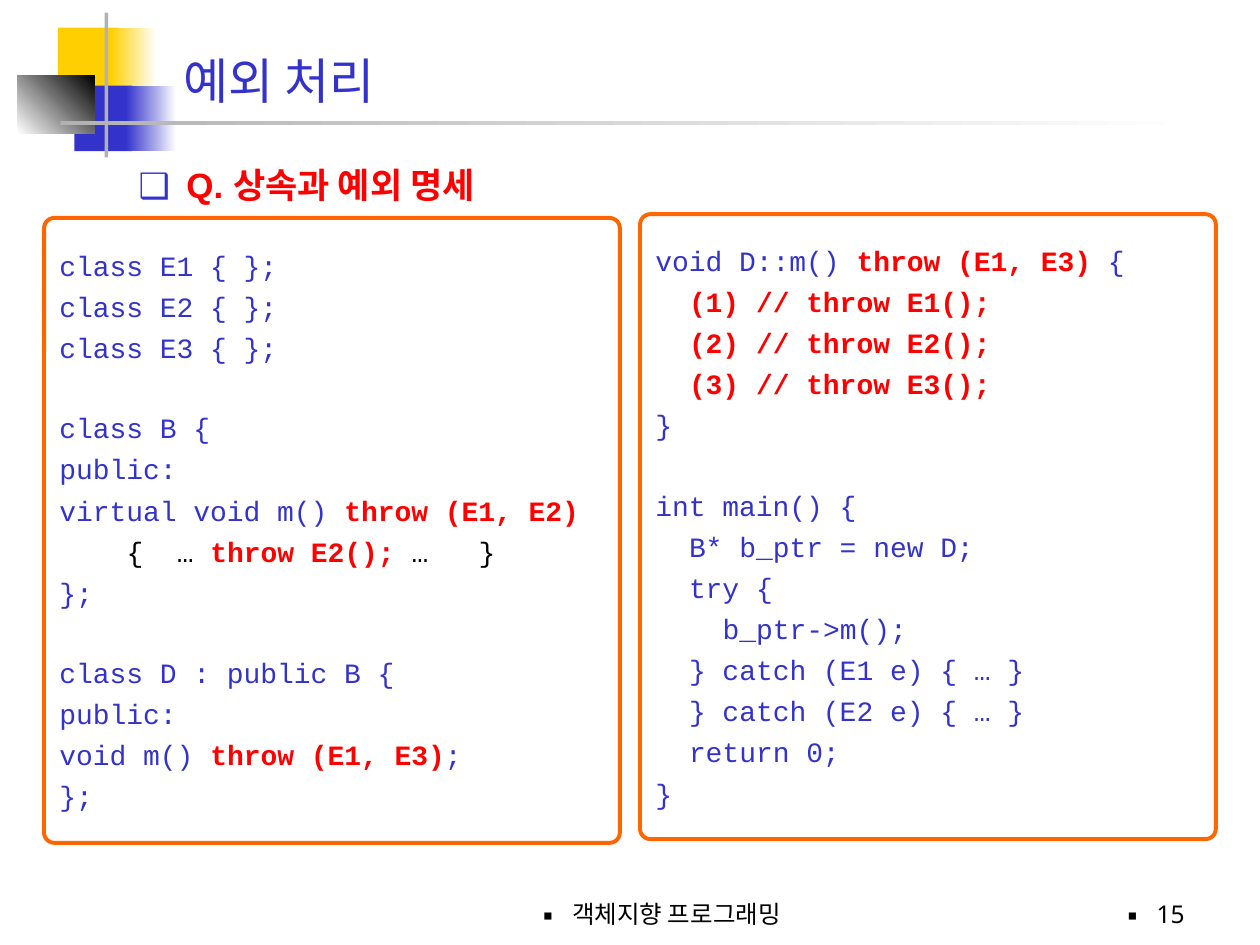
from lxml.etree import SubElement
from pptx import Presentation
from pptx.dml.color import RGBColor
from pptx.enum.shapes import MSO_SHAPE
from pptx.enum.text import MSO_ANCHOR, MSO_AUTO_SIZE, PP_ALIGN
from pptx.oxml.ns import qn
from pptx.util import Inches, Pt

COLORS = {
    "blue": "3333CC", "yellow": "FFCF01", "gray": "B2B2B2", "white": "FFFFFF",
    "black": "000000", "red": "FF0000", "orange": "FF6600",
}
KOREAN_FONT = "Noto Sans CJK KR"
CODE_SIZE = 16
CODE_SPACING = 4.3
CODE_BLANK_LINE = 22.4
CODE_CHARACTER = 0.6 * CODE_SIZE

# left, top, width, height, colour, end colour of the gradient, angle
DECORATIONS = [
    (0.46, 0.22, 0.48, 0.52, "yellow", None, 0),
    (0.88, 0.22, 0.36, 0.52, "yellow", "white", 0),
    (0.59, 0.68, 0.46, 0.52, "blue", None, 0),
    (1, 0.68, 0.4, 0.52, "blue", "white", 0),
    (0.14, 0.6, 0.61, 0.46, "white", "black", 45),
    (0.83, 0.1, 0.03, 1.15, "gray", None, 0),
    (0.48, 0.96, 9, 0.03, "gray", "white", 0),
]

# Each line: indent in characters, then (text, colour) spans; None is a gap.
CLASS_CODE = [
    (0, ("class E1 { };", "blue")),
    (0, ("class E2 { };", "blue")),
    (0, ("class E3 { };", "blue")),
    None,
    (0, ("class B {", "blue")),
    (0, ("public:", "blue")),
    (0, ("virtual void m() ", "blue"), ("throw (E1, E2)", "red")),
    (4, ("{  … ", "black"), ("throw E2();", "red"), (" …   }", "black")),
    (0, ("};", "blue")),
    None,
    (0, ("class D : public B {", "blue")),
    (0, ("public:", "blue")),
    (0, ("void m() ", "blue"), ("throw (E1, E3)", "red"), (";", "blue")),
    (0, ("};", "blue")),
]
MAIN_CODE = [
    (0, ("void D::m() ", "blue"), ("throw (E1, E3)", "red"), (" {", "blue")),
    (2, ("(1) // throw E1();", "red")),
    (2, ("(2) // throw E2();", "red")),
    (2, ("(3) // throw E3();", "red")),
    (0, ("}", "blue")),
    None,
    (0, ("int main() {", "blue")),
    (2, ("B* b_ptr = new D;", "blue")),
    (2, ("try {", "blue")),
    (4, ("b_ptr->m();", "blue")),
    (2, ("} catch (E1 e) { … }", "blue")),
    (2, ("} catch (E2 e) { … }", "blue")),
    (2, ("return 0;", "blue")),
    (0, ("}", "blue")),
]


def color(name):
    return RGBColor.from_string(COLORS[name])


def place(shape, left, top, width, height):
    shape.left, shape.top = Inches(left), Inches(top)
    shape.width, shape.height = Inches(width), Inches(height)


def add_span(para, text, font, size, color_name, bold=False):
    span = para.add_run()
    span.text = text
    span.font.name = font
    span.font.size = Pt(size)
    span.font.bold = bold
    span.font.color.rgb = color(color_name)
    east_asian = SubElement(span.font._element, qn("a:ea"))
    east_asian.set("typeface", KOREAN_FONT)


def set_indent(para, margin, first_line=0):
    properties = para._p.get_or_add_pPr()
    properties.set("marL", str(int(margin)))
    properties.set("indent", str(int(first_line)))
    return properties


def set_bullet(para, character, color_name, hanging):
    properties = set_indent(para, Inches(hanging), -Inches(hanging))
    bullet_color = SubElement(properties, qn("a:buClr"))
    SubElement(bullet_color, qn("a:srgbClr")).set("val", COLORS[color_name])
    SubElement(properties, qn("a:buFont")).set("typeface", "Noto Sans")
    SubElement(properties, qn("a:buChar")).set("char", character)


def add_decoration(page, left, top, width, height, start, end, angle):
    box = page.shapes.add_shape(
        MSO_SHAPE.RECTANGLE, Inches(left), Inches(top), Inches(width), Inches(height))
    box.shadow.inherit = False
    box.line.fill.background()
    if end is None:
        box.fill.solid()
        box.fill.fore_color.rgb = color(start)
        return
    box.fill.gradient()
    box.fill.gradient_angle = angle
    for stop, name in zip(box.fill.gradient_stops, (start, end)):
        stop.color.rgb = color(name)


def fill_title(page, text):
    title = page.shapes.title
    place(title, 1.36, 0.18, 8.52, 0.74)
    frame = title.text_frame
    frame.auto_size = MSO_AUTO_SIZE.NONE
    frame.vertical_anchor = MSO_ANCHOR.BOTTOM
    para = frame.paragraphs[0]
    para.alignment = PP_ALIGN.LEFT
    add_span(para, text, KOREAN_FONT, 28, "blue")


def fill_body(page, text):
    body = page.placeholders[1]
    place(body, 1, 1.25, 8.79, 5.46)
    body.text_frame.auto_size = MSO_AUTO_SIZE.NONE
    para = body.text_frame.paragraphs[0]
    para.space_before = Pt(4)
    set_bullet(para, "❑", "blue", 0.38)
    add_span(para, text, "Arial", 20, "red", bold=True)


def add_code_panel(page, left, top, lines):
    panel = page.shapes.add_shape(
        MSO_SHAPE.ROUNDED_RECTANGLE, Inches(left), Inches(top), Inches(4.57), Inches(4.96))
    panel.adjustments[0] = 0.018
    panel.shadow.inherit = False
    panel.fill.background()
    panel.line.color.rgb = color("orange")
    panel.line.width = Pt(2.25)
    frame = panel.text_frame
    frame.word_wrap = True
    frame.vertical_anchor = MSO_ANCHOR.MIDDLE
    para = frame.paragraphs[0]
    spacing = CODE_SPACING
    for number, line in enumerate(lines):
        if line is None:
            spacing += CODE_BLANK_LINE
            continue
        if number:
            para = frame.add_paragraph()
        indent, *spans = line
        para.alignment = PP_ALIGN.LEFT
        para.space_before = Pt(spacing)
        set_indent(para, Pt(indent * CODE_CHARACTER))
        for text, color_name in spans:
            add_span(para, text, "Courier New", CODE_SIZE, color_name, color_name == "red")
        spacing = CODE_SPACING


def add_footer(page, left, width, text, alignment):
    box = page.shapes.add_textbox(Inches(left), Inches(6.92), Inches(width), Inches(0.5))
    frame = box.text_frame
    frame.word_wrap = True
    frame.vertical_anchor = MSO_ANCHOR.BOTTOM
    para = frame.paragraphs[0]
    para.alignment = alignment
    set_bullet(para, "▪", "black", 0.23)
    add_span(para, text, "Noto Sans", 14, "black")


def main():
    deck = Presentation()
    deck.slide_width, deck.slide_height = Inches(10), Inches(7.5)
    page = deck.slides.add_slide(deck.slide_layouts[1])
    for decoration in DECORATIONS:
        add_decoration(page, *decoration)
    fill_title(page, "예외 처리")
    fill_body(page, "Q. 상속과 예외 명세")
    add_footer(page, 3.67, 3.17, "객체지향 프로그래밍", PP_ALIGN.CENTER)
    add_footer(page, 7.42, 2.08, "15", PP_ALIGN.RIGHT)
    add_code_panel(page, 0.35, 1.73, CLASS_CODE)
    add_code_panel(page, 5.08, 1.7, MAIN_CODE)
    deck.save("out.pptx")


if __name__ == "__main__":
    main()
